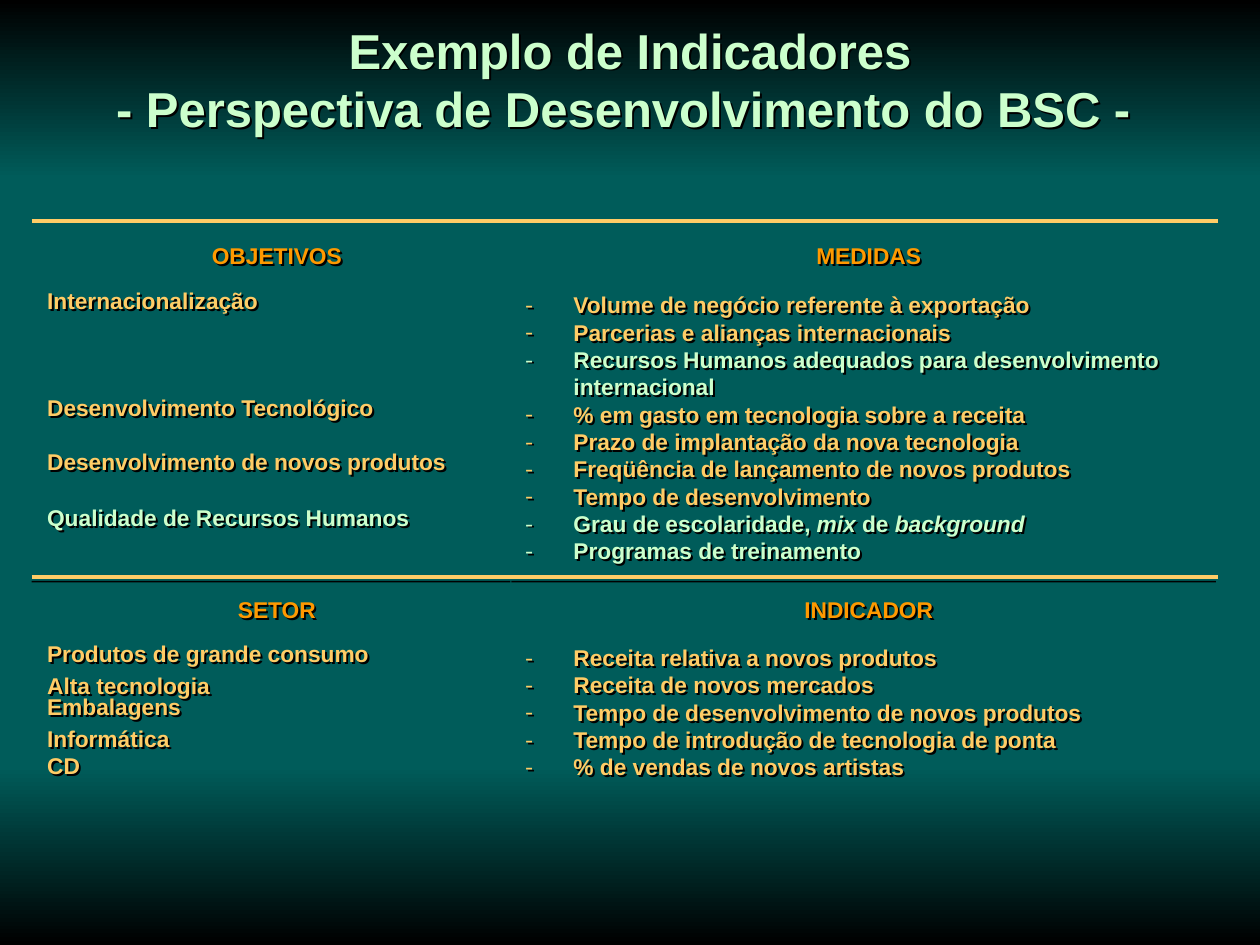
from dataclasses import dataclass

from lxml.etree import SubElement
from pptx import Presentation
from pptx.dml.color import RGBColor
from pptx.enum.shapes import MSO_CONNECTOR, MSO_SHAPE
from pptx.enum.text import MSO_ANCHOR, MSO_AUTO_SIZE, PP_ALIGN
from pptx.oxml.ns import qn
from pptx.util import Cm, Pt

RECT = MSO_SHAPE.RECTANGLE
LINE = MSO_CONNECTOR.STRAIGHT
TOP, MIDDLE = MSO_ANCHOR.TOP, MSO_ANCHOR.MIDDLE
LEFT, CENTER = PP_ALIGN.LEFT, PP_ALIGN.CENTER
NO_FIT = MSO_AUTO_SIZE.NONE

HEX = {"teal": "005C5A", "black": "000000", "mint": "CCFFCC",
       "gold": "FFCC66", "amber": "FF9900"}
WIDE, HIGH, BAND = 25.4, 19.05, 3.6
HANG = 0.97


@dataclass
class Item:
    """One list entry; every second text is italic. Spacing is in points."""
    texts: tuple[str, ...]
    tint: str = "gold"
    before: float = 0
    pitch: float | None = None


@dataclass
class Listing:
    slot: int
    box: tuple[float, float, float, float]
    dash: bool
    items: list[Item]


@dataclass
class Head:
    text: str
    mid: float
    top: float


HEADS = [
    Head("OBJETIVOS", 5.58, 4.88), Head("MEDIDAS", 17.51, 4.88),
    Head("SETOR", 5.58, 12.01), Head("INDICADOR", 17.51, 12.01),
]
LISTS = [
    Listing(1, (0.95, 5.79, 8.4, 4.85), False, [
        Item(("Internacionalização",)),
        Item(("Desenvolvimento Tecnológico",), before=45),
        Item(("Desenvolvimento de novos produtos",), before=15.3),
        Item(("Qualidade de Recursos Humanos",), "mint", before=16.7),
    ]),
    Listing(2, (10.59, 5.87, 13.2, 5.27), True, [
        Item(("Volume de negócio referente à exportação",)),
        Item(("Parcerias e alianças internacionais",)),
        Item(("Recursos Humanos adequados para desenvolvimento internacional",),
             "mint"),
        Item(("% em gasto em tecnologia sobre a receita",)),
        Item(("Prazo de implantação da nova tecnologia",)),
        Item(("Freqüência de lançamento de novos produtos",)),
        Item(("Tempo de desenvolvimento",)),
        Item(("Grau de escolaridade, ", "mix", " de ", "background"), "mint"),
        Item(("Programas de treinamento",), "mint"),
    ]),
    Listing(3, (0.95, 12.9, 8.4, 2.75), False, [
        Item(("Produtos de grande consumo",)),
        Item(("Alta tecnologia",), before=2.4),
        Item(("Embalagens",), pitch=12.2),
        Item(("Informática",), before=2.7),
        Item(("CD",)),
    ]),
    Listing(4, (10.59, 12.98, 13.2, 2.64), True, [
        Item(("Receita relativa a novos produtos",)),
        Item(("Receita de novos mercados",)),
        Item(("Tempo de desenvolvimento de novos produtos",)),
        Item(("Tempo de introdução de tecnologia de ponta",)),
        Item(("% de vendas de novos artistas",)),
    ]),
]


def color(name: str) -> RGBColor:
    return RGBColor.from_string(HEX[name])


def place(shape, box: tuple[float, float, float, float]) -> None:
    shape.left, shape.top, shape.width, shape.height = map(Cm, box)


def shade(shape) -> None:
    """Give the text of an unfilled shape a small black shadow."""
    shape.fill.background()
    shape.shadow.inherit = False
    glow = SubElement(shape._element.spPr.find(qn("a:effectLst")),
                      qn("a:outerShdw"), dist="20000", dir="2700000",
                      algn="ctr", rotWithShape="0")
    SubElement(glow, qn("a:srgbClr"), val=HEX["black"])


def setup(shape, anchor=TOP, inset: float = 0):
    frame = shape.text_frame
    frame.word_wrap = True
    frame.auto_size = NO_FIT
    frame.vertical_anchor = anchor
    frame.margin_left = frame.margin_right = Cm(inset)
    frame.margin_top = frame.margin_bottom = Cm(inset / 2)
    shade(shape)
    return frame


def write(para, text: str, tint: str, size: float = 13, slant: bool = False) -> None:
    run = para.add_run()
    run.text = text
    font = run.font
    font.name, font.size, font.bold, font.italic = "Arial", Pt(size), True, slant
    font.color.rgb = color(tint)


def mark(para, dash: bool) -> None:
    """Set the hanging dash, or clear the bullet of the layout."""
    props = para._p.get_or_add_pPr()
    hang = Cm(HANG) if dash else 0
    props.set("marL", str(hang))
    props.set("indent", str(-hang))
    if dash:
        SubElement(props, qn("a:buFont"), typeface="Times New Roman")
        SubElement(props, qn("a:buChar"), char="-")
    else:
        SubElement(props, qn("a:buNone"))


def add_list(slide, data: Listing) -> None:
    shape = slide.placeholders[data.slot]
    place(shape, data.box)
    frame = setup(shape)
    for row, item in enumerate(data.items):
        para = frame.add_paragraph() if row else frame.paragraphs[0]
        para.alignment = LEFT
        para.line_spacing = Pt(item.pitch) if item.pitch else 1.0
        para.space_before, para.space_after = Pt(item.before), Pt(0)
        mark(para, data.dash)
        for spot, text in enumerate(item.texts):
            write(para, text, item.tint, slant=spot % 2 == 1)


def add_head(slide, head: Head) -> None:
    wide = 3
    shape = slide.shapes.add_textbox(
        Cm(head.mid - wide / 2), Cm(head.top), Cm(wide), Cm(0.56))
    para = setup(shape).paragraphs[0]
    para.alignment = CENTER
    write(para, head.text, "amber")


def add_rect(slide, left: float, top: float, wide: float, high: float):
    shape = slide.shapes.add_shape(RECT, Cm(left), Cm(top), Cm(wide), Cm(high))
    shape.line.fill.background()
    shape.shadow.inherit = False
    return shape


def add_band(slide, top: float, tints: tuple[str, str]) -> None:
    """Draw a vertical fade behind everything else."""
    shape = add_rect(slide, 0, top, WIDE, BAND)
    shape.fill.gradient()
    shape.fill.gradient_angle = 270
    for stop, tint in zip(shape.fill.gradient_stops, tints):
        stop.color.rgb = color(tint)
    slide.shapes._spTree.insert(2, shape._element)


def add_rule(slide, top: float) -> None:
    rule = slide.shapes.add_connector(LINE, Cm(0.64), Cm(top), Cm(24.56), Cm(top))
    rule.line.color.rgb = color("gold")
    rule.line.width = Pt(2.25)
    SubElement(rule._element.spPr, qn("a:effectLst"))


def add_title(slide) -> None:
    shape = slide.shapes.title
    place(shape, (0, 0, WIDE, 3.18))
    para = setup(shape, MIDDLE, 0.25).paragraphs[0]
    para.alignment = CENTER
    write(para, "Exemplo de Indicadores", "mint", 28)
    para.add_line_break()
    write(para, "- Perspectiva de Desenvolvimento do BSC - ", "mint", 28)


def main() -> None:
    deck = Presentation()
    deck.slide_width, deck.slide_height = Cm(WIDE), Cm(HIGH)
    slide = deck.slides.add_slide(deck.slide_layouts[4])
    back = slide.background.fill
    back.solid()
    back.fore_color.rgb = color("teal")
    add_band(slide, 0, ("black", "teal"))
    add_band(slide, HIGH - BAND, ("teal", "black"))
    add_title(slide)
    for head in HEADS:
        add_head(slide, head)
    for data in LISTS:
        add_list(slide, data)
    for left, wide in ((0.64, 9.65), (10.31, 14.2)):
        edge = add_rect(slide, left, 11.71, wide, 0.03)
        edge.fill.solid()
        edge.fill.fore_color.rgb = color("black")
    for top in (4.45, 11.63):
        add_rule(slide, top)
    deck.save("out.pptx")


if __name__ == "__main__":
    main()
